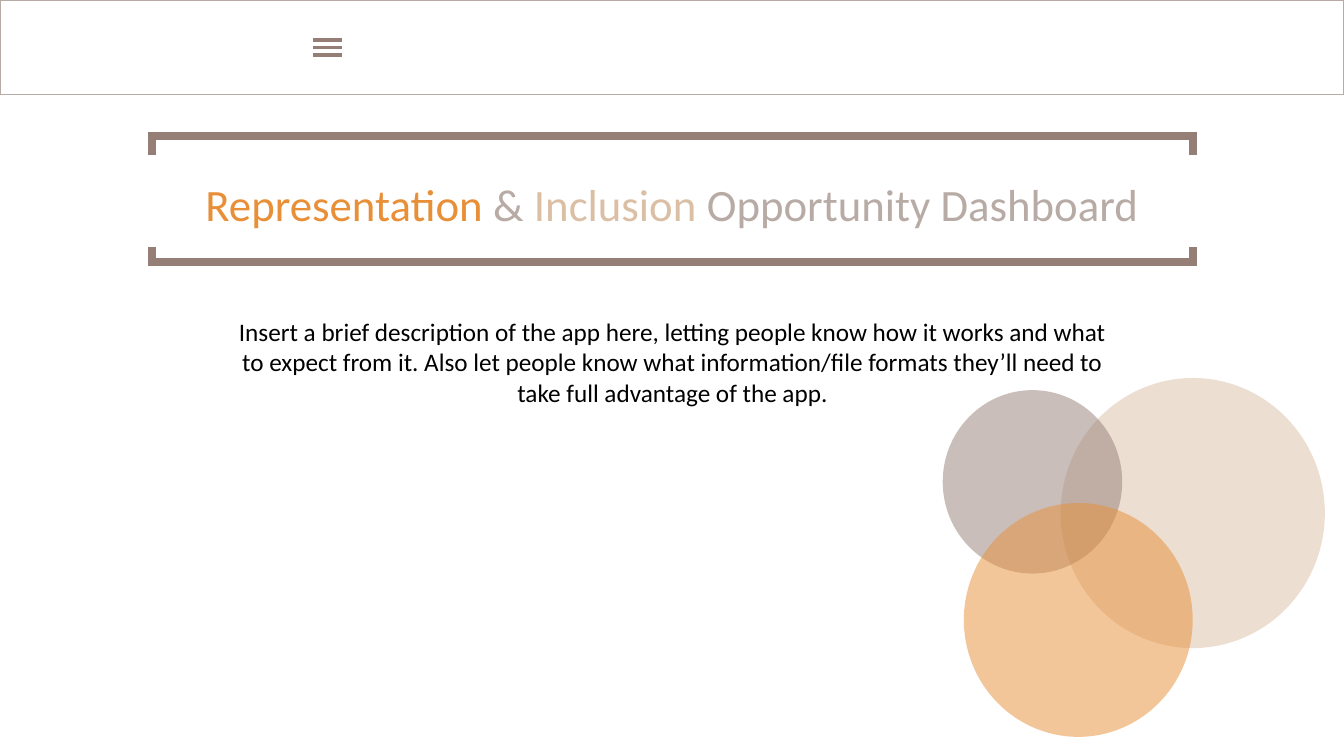
from lxml.etree import SubElement
from pptx import Presentation
from pptx.dml.color import RGBColor
from pptx.enum.shapes import MSO_SHAPE as SHAPE
from pptx.enum.text import MSO_ANCHOR, MSO_AUTO_SIZE, PP_ALIGN
from pptx.oxml.ns import qn
from pptx.util import Inches, Pt

BROWN = RGBColor(0x95, 0x7E, 0x76)
TAUPE = RGBColor(0xB8, 0xAB, 0xA5)
SAND = RGBColor(0xDB, 0xBF, 0xA5)
ORANGE = RGBColor(0xE8, 0x8F, 0x37)
BLACK = RGBColor(0, 0, 0)
WHITE = RGBColor(0xFF, 0xFF, 0xFF)

TITLE = [("Representation", ORANGE), (" & ", TAUPE), ("Inclusion", SAND),
         (" Opportunity Dashboard", TAUPE)]
DESCRIPTION = [(
    "Insert a brief description of the app here, letting people know how it "
    "works and what to expect from it. Also let people know what "
    "information/file formats they’ll need to take full advantage of the app.",
    BLACK)]
CIRCLES = [  # left, top, width, height, colour
    (10.52, 3.75, 2.62, 2.68, SAND),
    (9.35, 3.87, 1.78, 1.82, BROWN),
    (9.56, 4.99, 2.27, 2.32, ORANGE),
]
WIDTH, HEIGHT = 13.33, 7.5
HEADER_HEIGHT = 0.94
MENU_LEFT, MENU_TOP, MENU_STEP, MENU_BARS = 3.05, 0.32, 0.075, 3


def add_filled(shapes, preset, box, color, opacity=100):
    """Add a borderless preset shape, see-through if opacity is below 100."""
    shape = shapes.add_shape(preset, *map(Inches, box))
    shape.shadow.inherit = False
    shape.fill.solid()
    shape.fill.fore_color.rgb = color
    shape.line.fill.background()
    if opacity < 100:
        tint = shape.fill._xPr.find(qn("a:solidFill"))[0]
        SubElement(tint, qn("a:alpha")).set("val", str(opacity * 1000))


def add_outline(shapes, box, color, weight):
    """Add an unfilled rectangle with square corners."""
    outline = shapes.add_shape(SHAPE.RECTANGLE, *map(Inches, box))
    outline.shadow.inherit = False
    outline.fill.background()
    outline.line.color.rgb = color
    outline.line.width = Pt(weight)
    line = outline.element.spPr.find(qn("a:ln"))
    SubElement(line, qn("a:miter")).set("lim", "800000")


def write_text(holder, runs, size, margin_top=0.05, font="Calibri"):
    """Fill a shape with one centred paragraph of coloured runs."""
    frame = holder.text_frame
    frame.word_wrap = True
    frame.auto_size = MSO_AUTO_SIZE.NONE
    frame.vertical_anchor = MSO_ANCHOR.TOP
    frame.margin_top = Inches(margin_top)
    paragraph = frame.paragraphs[0]
    paragraph.alignment = PP_ALIGN.CENTER
    paragraph.line_spacing = 1.0
    for text, color in runs:
        run = paragraph.add_run()
        run.text = text
        run.font.name = font
        run.font.size = Pt(size)
        run.font.color.rgb = color


presentation = Presentation()
presentation.slide_width = Inches(WIDTH)
presentation.slide_height = Inches(HEIGHT)
slide = presentation.slides.add_slide(presentation.slide_layouts[5])
shapes = slide.shapes

add_outline(shapes, (0, 0, WIDTH, HEADER_HEIGHT), TAUPE, 1)

menu = shapes.add_group_shape()
for bar in range(MENU_BARS):
    bar_top = MENU_TOP + bar * MENU_STEP
    add_filled(menu.shapes, SHAPE.MATH_MINUS, (MENU_LEFT, bar_top, 0.4, 0.15), BROWN)

circles = shapes.add_group_shape()
for *box, color in CIRCLES:
    add_filled(circles.shapes, SHAPE.FLOWCHART_CONNECTOR, box, color, opacity=50)

add_outline(shapes, (1.51, 1.35, 10.32, 1.25), BROWN, 6)

# The white title band lies over the frame and leaves only its corners
title = shapes.title
title.element.getparent().append(title.element)
title.left, title.top, title.width, title.height = map(Inches, (0, 1.54, WIDTH, 0.91))
title.fill.solid()
title.fill.fore_color.rgb = WHITE
write_text(title, TITLE, 32, margin_top=0.21)

description = shapes.add_textbox(*map(Inches, (2.18, 3.09, 8.98, 1.01)))
write_text(description, DESCRIPTION, 18)

presentation.save("out.pptx")
